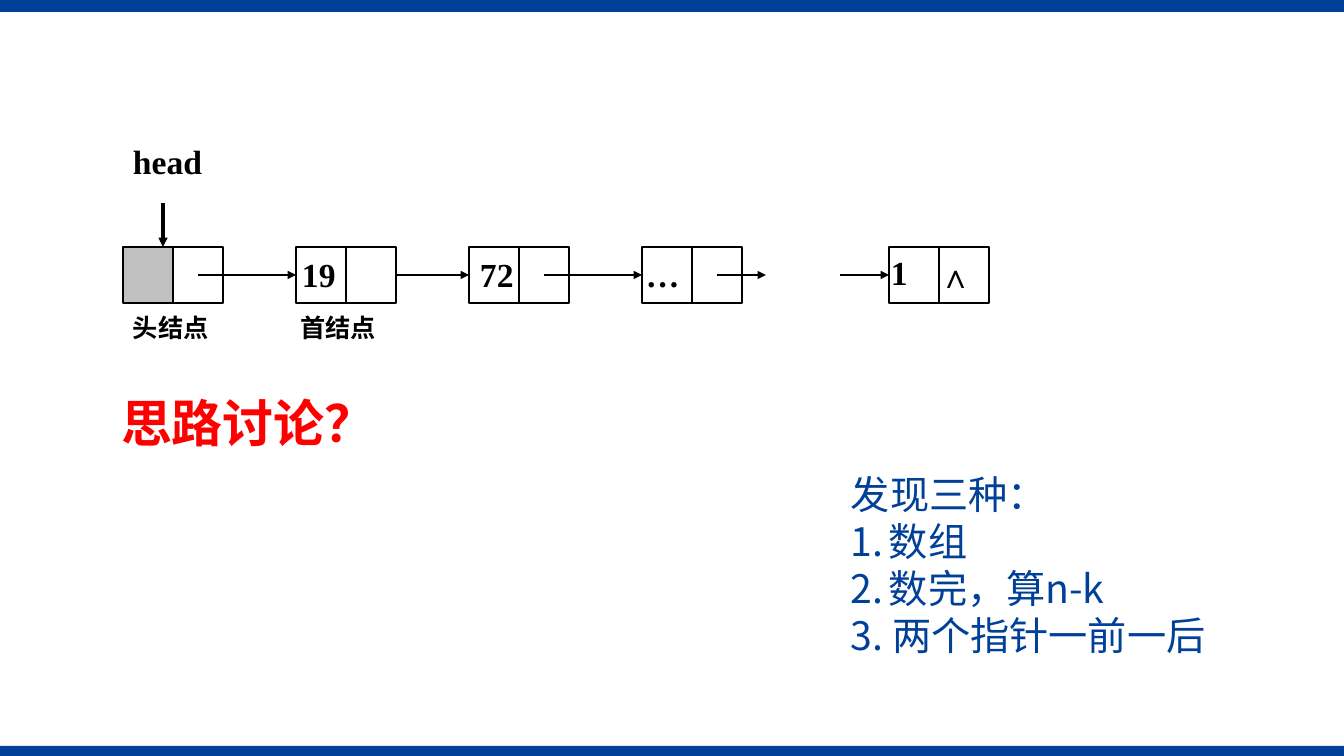
from lxml.etree import SubElement
from pptx import Presentation
from pptx.dml.color import RGBColor
from pptx.enum.shapes import MSO_CONNECTOR, MSO_SHAPE
from pptx.enum.text import MSO_ANCHOR, PP_ALIGN
from pptx.oxml.ns import qn
from pptx.util import Pt

PX = 12192000 / 1344
BLACK, BLUE, GRAY, RED = "000000", "004098", "C0C0C0", "FF0000"
SANS, SERIF = "Noto Sans CJK SC", "Times New Roman"
CELL_WIDTH, CELL_HEIGHT, CELL_TOP = 50, 56, 247


def px(*lengths):
    return [round(length * PX) for length in lengths]


def write(paragraph, text, size, color, latin=SERIF, asian=SERIF, bold=True):
    run = paragraph.add_run()
    run.text = text
    for name, value in {"size": Pt(size), "bold": bold, "name": latin}.items():
        setattr(run.font, name, value)
    run.font.color.rgb = RGBColor.from_string(color)
    SubElement(run.font._element, qn("a:ea")).set("typeface", asian)


presentation = Presentation()
presentation.slide_width, presentation.slide_height = px(1344, 756)
slide = presentation.slides.add_slide(presentation.slide_layouts[5])
shapes = slide.shapes

title = shapes.title
title.left, title.top, title.width, title.height = px(111, 384, 1162, 76)
title.text_frame.vertical_anchor = MSO_ANCHOR.MIDDLE
title_paragraph = title.text_frame.paragraphs[0]
title_paragraph.alignment = PP_ALIGN.LEFT
write(title_paragraph, "思路讨论？", 36.4, RED, SANS, SANS)

rectangles = [(0, 746, 1344, 10, BLUE, None), (0, 0, 1344, 12, BLUE, None)]
for left in (123, 296, 469, 642, 889):
    for column in range(2):
        fill = GRAY if left == 123 and column == 0 else None
        rectangles.append((left + column * CELL_WIDTH, CELL_TOP, CELL_WIDTH, CELL_HEIGHT, fill, BLACK))

cells = []
for left, top, width, height, fill, line in rectangles:
    shape = shapes.add_shape(MSO_SHAPE.RECTANGLE, *px(left, top, width, height))
    shape.shadow.inherit = False
    if fill:
        shape.fill.solid()
        shape.fill.fore_color.rgb = RGBColor.from_string(fill)
    else:
        shape.fill.background()
    if line:
        shape.line.color.rgb = RGBColor.from_string(line)
        shape.line.width = Pt(1.5)
        cells.append(shape)
    else:
        shape.line.fill.background()

first_data, first_next, second_data, more_data, last_data = (cells[i] for i in (2, 3, 4, 6, 8))
arrow_y = CELL_TOP + CELL_HEIGHT // 2
arrows = [
    (198, arrow_y, 296, arrow_y, 1.5, None, first_data),
    (396, arrow_y, 469, arrow_y, 1.5, first_next, second_data),
    (544, arrow_y, 642, arrow_y, 1.5, None, more_data),
    (717, arrow_y, 766, arrow_y, 1.5, None, None),
    (840, arrow_y, 889, arrow_y, 1.5, None, last_data),
    (163, 203, 163, CELL_TOP, 2.25, None, None),
]
for x1, y1, x2, y2, weight, source, target in arrows:
    arrow = shapes.add_connector(MSO_CONNECTOR.STRAIGHT, *px(x1, y1, x2, y2))
    if source:
        arrow.begin_connect(source, 3)
    if target:
        arrow.end_connect(target, 1)
    arrow.line.color.rgb = RGBColor.from_string(BLACK)
    arrow.line.width = Pt(weight)
    SubElement(arrow.line._get_or_add_ln(), qn("a:tailEnd")).set("type", "triangle")
    SubElement(arrow._element.spPr, qn("a:effectLst"))

labels = [
    ("19", 302, 254, 37, 47, 24, SERIF, 0),
    ("72", 480, 254, 37, 47, 24, SERIF, 0),
    ("1", 891, 252, 53, 47, 24, SERIF, 0),
    ("…", 646, 254, 37, 47, 24, SERIF, 0),
    ("∧", 939, 255, 37, 47, 24, SERIF, 0),
    ("head", 123, 136, 99, 67, 24, SERIF, 10),
    ("头结点", 123, 307, 103, 40, 18, SANS, 10),
    ("首结点", 290, 307, 103, 40, 18, SANS, 10),
]
for text, left, top, width, height, size, asian, inset in labels:
    frame = shapes.add_textbox(*px(left, top, width, height)).text_frame
    frame.word_wrap = True
    margins = px(inset, inset, inset // 2, inset // 2)
    for side, margin in zip(("left", "right", "top", "bottom"), margins):
        setattr(frame, f"margin_{side}", margin)
    frame.paragraphs[0].alignment = PP_ALIGN.JUSTIFY
    write(frame.paragraphs[0], text, size, BLACK, asian=asian)

ideas = shapes.add_textbox(*px(841, 465, 432, 200)).text_frame
ideas.word_wrap = True
idea_lines = [("发现三种：", 0), ("数组", 1), ("数完，算n-k", 2), ("3. 两个指针一前一后", 0)]
for index, (text, number) in enumerate(idea_lines):
    paragraph = ideas.add_paragraph() if index else ideas.paragraphs[0]
    paragraph.line_spacing = Pt(33.6)
    if number:
        properties = paragraph._p.get_or_add_pPr()
        indent = px(38)[0]
        properties.set("marL", str(indent))
        properties.set("indent", str(-indent))
        bullet = SubElement(properties, qn("a:buAutoNum"))
        bullet.set("type", "arabicPeriod")
        bullet.set("startAt", str(number))
    write(paragraph, text, 28, BLUE, SANS, SANS, False)

presentation.save("out.pptx")
